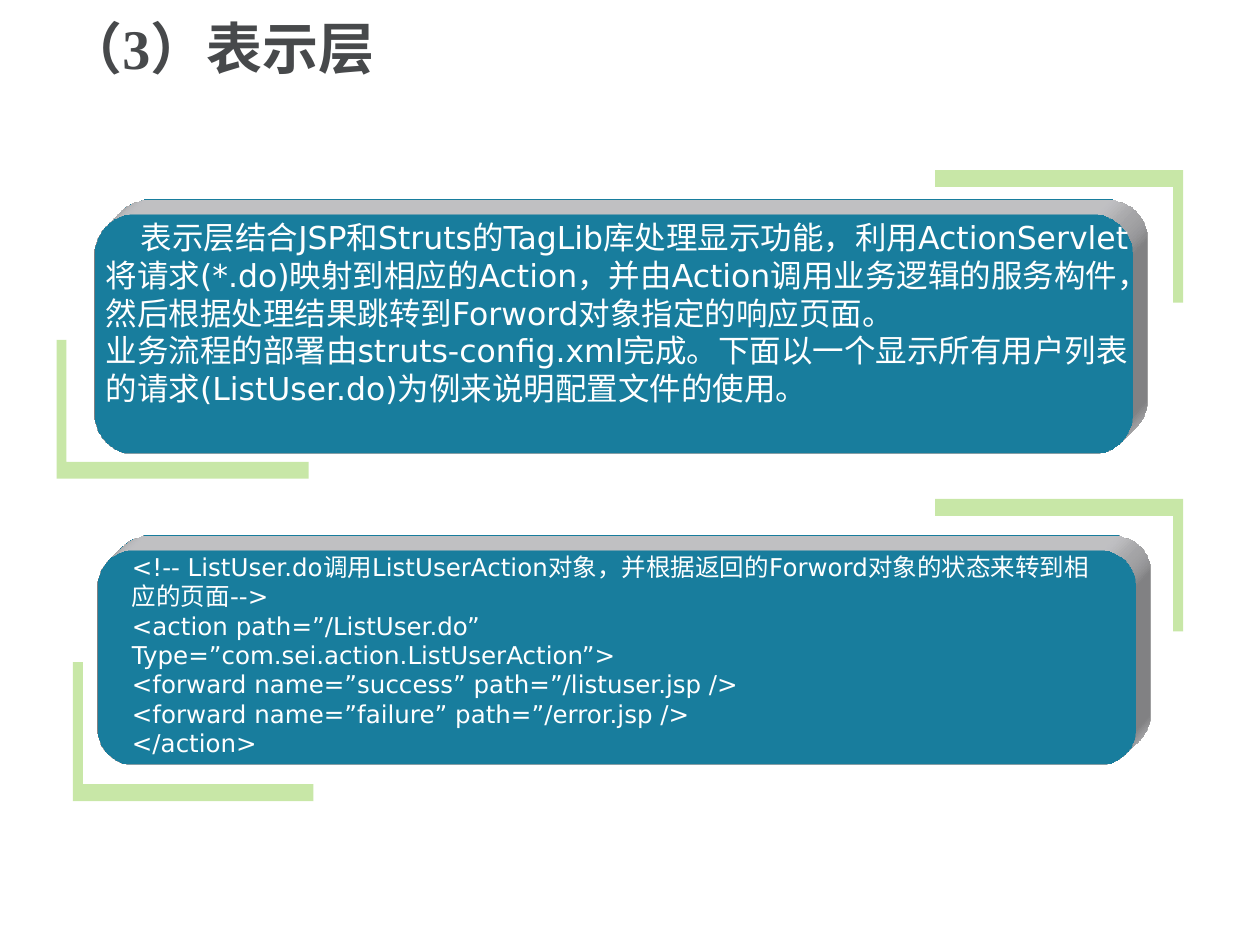
"""Build the slide on the presentation layer: a title and two framed 3-D panels."""
from pptx import Presentation
from pptx.dml.color import RGBColor
from pptx.enum.shapes import MSO_SHAPE as Preset
from pptx.enum.text import MSO_ANCHOR as Anchor
from pptx.oxml import parse_xml
from pptx.oxml.ns import nsdecls, qn
from pptx.util import Cm, Pt

COLOURS = {"title": "47494B", "text": "FFFFFF", "panel": "22B1DE",
           "depth": "DBDBDE", "bracket": "92D050"}

TITLE = {
    "box": (1.09, 0.15, 22.99, 1.78),
    "lines": ["（3）表示层"],
    "font": {"size": Pt(32), "name": "Times New Roman", "bold": True},
}
SECTIONS = [
    {
        "brackets": [(1.14, 9.65, 5.08, -2.8), (23.85, 3.43, -5, 2.67)],
        "panel": (1.9, 4.32, 20.93, 4.83),
        "box": (1.88, 4.27, 21.34, 4.88),
        "lines": [
            "表示层结合JSP和Struts的TagLib库处理显示功能，利用ActionServlet将请求(*.do)映射到相应的Action，"
            "并由Action调用业务逻辑的服务构件，然后根据处理结果跳转到Forword对象指定的响应页面。",
            "业务流程的部署由struts-config.xml完成。下面以一个显示所有用户列表的请求(ListUser.do)为例来说明配置文件的使用。",
        ],
        "indent": 0.71,
        "font": {"size": Pt(18), "name": "DejaVu Sans"},
    },
    {
        "brackets": [(1.47, 16.15, 4.85, -2.8), (23.85, 10.06, -5, 2.67)],
        "panel": (1.96, 11.1, 20.93, 4.32),
        "box": (2.41, 11, 20.27, 5.05),
        "lines": [
            "<!-- ListUser.do调用ListUserAction对象，并根据返回的Forword对象的状态来转到相应的页面-->",
            "<action path=”/ListUser.do”",
            "Type=”com.sei.action.ListUserAction”>",
            "<forward name=”success” path=”/listuser.jsp />",
            "<forward name=”failure” path=”/error.jsp />",
            "</action>",
        ],
        "indent": 0,
        "font": {"size": Pt(14), "name": "DejaVu Sans"},
    },
]
BRACKET_WIDTH, BRACKET_HEIGHT = 0.2, 0.34
PANEL_DEPTH = Pt(24)


def paint(shape, colour):
    """Give a shape a plain fill without line or shadow."""
    shape.fill.solid()
    shape.fill.fore_color.rgb = RGBColor.from_string(COLOURS[colour])
    shape.line.fill.background()
    shape.shadow.inherit = False


def add_bracket(slide, x, y, across, down):
    """Draw a translucent corner whose arms run from x, y by the signed lengths."""
    inner_x = x + (BRACKET_WIDTH if across > 0 else -BRACKET_WIDTH)
    inner_y = y + (BRACKET_HEIGHT if down > 0 else -BRACKET_HEIGHT)
    outline = [(x, y), (x + across, y), (x + across, inner_y),
               (inner_x, inner_y), (inner_x, y + down), (x, y + down)]
    start, *corners = [(Cm(left), Cm(top)) for left, top in outline]
    builder = slide.shapes.build_freeform(*start)
    builder.add_line_segments(corners, close=True)
    bracket = builder.convert_to_shape()
    paint(bracket, "bracket")
    colour = next(bracket._element.spPr.iter(qn("a:srgbClr")))
    colour.append(parse_xml(f'<a:alpha {nsdecls("a")} val="50000"/>'))


def add_panel(slide, place):
    """Draw a rounded panel extruded to the top right."""
    panel = slide.shapes.add_shape(Preset.ROUNDED_RECTANGLE, *map(Cm, place))
    paint(panel, "panel")
    for xml in (
        f'<a:scene3d {nsdecls("a")}><a:camera prst="legacyObliqueTopRight"/>'
        '<a:lightRig rig="legacyFlat3" dir="r"/></a:scene3d>',
        f'<a:sp3d {nsdecls("a")} extrusionH="{PANEL_DEPTH}" prstMaterial="legacyMatte">'
        f'<a:extrusionClr><a:srgbClr val="{COLOURS["depth"]}"/></a:extrusionClr></a:sp3d>',
    ):
        panel._element.spPr.append(parse_xml(xml))


def add_text(slide, part, colour):
    """Write the lines of a part, one paragraph each."""
    frame = slide.shapes.add_textbox(*map(Cm, part["box"])).text_frame
    frame.word_wrap = True
    for number, line in enumerate(part["lines"]):
        paragraph = frame.add_paragraph() if number else frame.paragraphs[0]
        run = paragraph.add_run()
        run.text = line
        for name, value in part["font"].items():
            setattr(run.font, name, value)
        run.font.color.rgb = RGBColor.from_string(COLOURS[colour])
    return frame


def main():
    """Compose and save the slide."""
    deck = Presentation()
    deck.slide_width, deck.slide_height = Cm(25.4), Cm(19.05)
    slide = deck.slides.add_slide(deck.slide_layouts[6])

    heading = add_text(slide, TITLE, "title")
    heading.vertical_anchor = Anchor.MIDDLE
    heading.paragraphs[0].line_spacing = 0.9

    for section in SECTIONS:
        for bracket in section["brackets"]:
            add_bracket(slide, *bracket)
        add_panel(slide, section["panel"])
        body = add_text(slide, section, "text")
        if section["indent"]:
            opening = body.paragraphs[0]._p.get_or_add_pPr()
            opening.set("indent", str(Cm(section["indent"])))

    deck.save("out.pptx")


if __name__ == "__main__":
    main()
